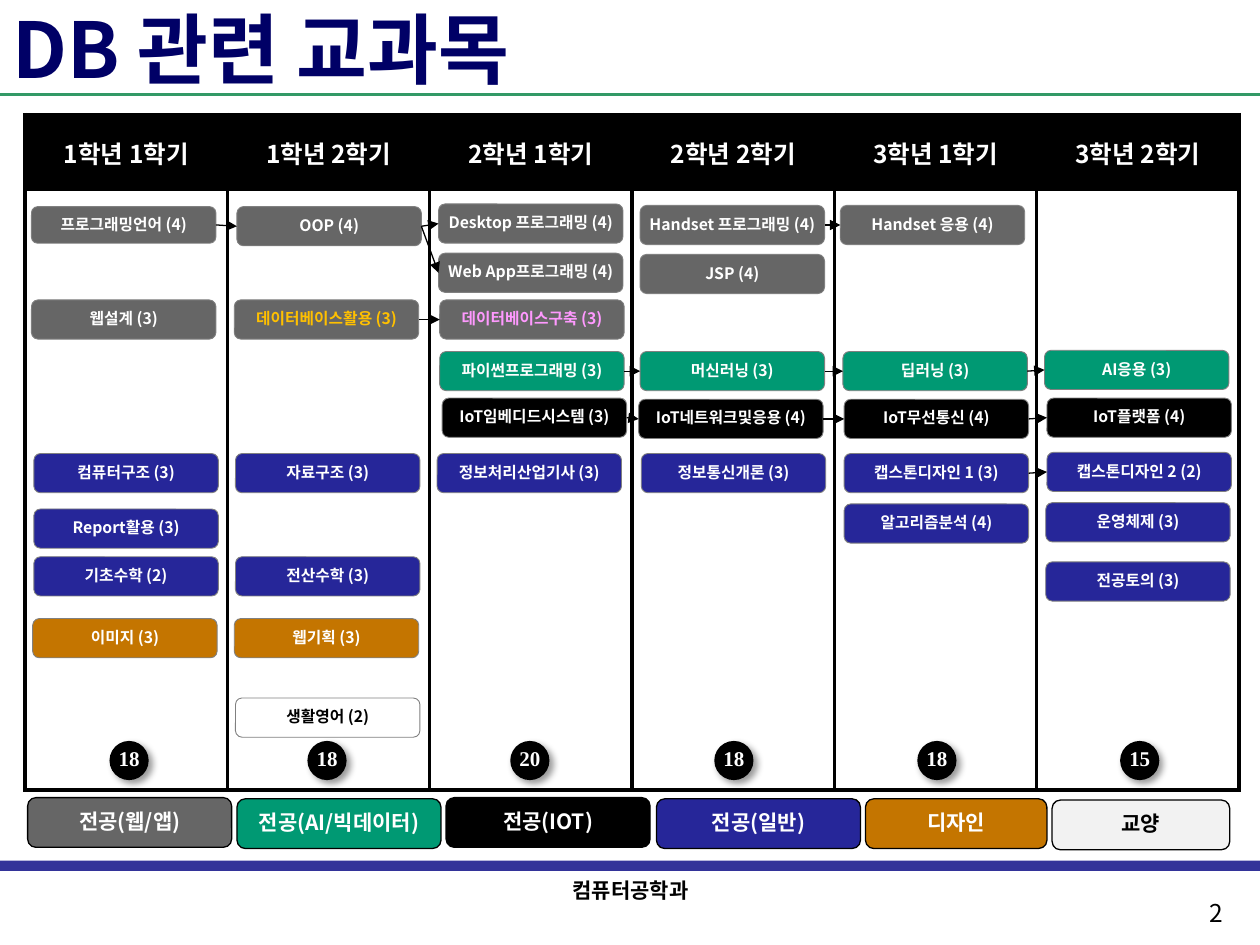
from lxml import etree
from pptx import Presentation
from pptx.dml.color import RGBColor
from pptx.enum.shapes import MSO_CONNECTOR, MSO_SHAPE
from pptx.enum.text import MSO_ANCHOR, MSO_AUTO_SIZE, PP_ALIGN
from pptx.oxml.ns import qn
from pptx.util import Pt

ROUND, OVAL, RECT = MSO_SHAPE.ROUNDED_RECTANGLE, MSO_SHAPE.OVAL, MSO_SHAPE.RECTANGLE
STRAIGHT = MSO_CONNECTOR.STRAIGHT
LEFT, CENTER = PP_ALIGN.LEFT, PP_ALIGN.CENTER
MIDDLE, TOP = MSO_ANCHOR.MIDDLE, MSO_ANCHOR.TOP
LEFT_SITE, RIGHT_SITE = 1, 3
SANS, SERIF = "Noto Sans CJK KR", "Times New Roman"

COLORS = {
    "web": "666666", "ai": "009973", "iot": "000000", "general": "262699",
    "design": "C47500", "liberal": "FFFFFF", "liberal_key": "F2F2F2",
    "black": "000000", "white": "FFFFFF", "edge": "808080", "title": "000066",
    "rule": "339966", "band": "333399", "gold": "FFC000", "pink": "FF99FF",
}

TERMS = ["1학년 1학기", "1학년 2학기", "2학년 1학기",
         "2학년 2학기", "3학년 1학기", "3학년 2학기"]
CREDITS = [(62.6, "18"), (175.7, "18"), (291.6, "20"),
           (408.2, "18"), (524.2, "18"), (640.1, "15")]

COURSES = {
    "web": [
        ("프로그래밍언어 (4)", 18, 118.1), ("OOP (4)", 135.4, 118.1),
        ("Desktop 프로그래밍 (4)", 250.6, 116.6), ("Web App프로그래밍 (4)", 250.6, 144.7),
        ("Handset 프로그래밍 (4)", 365.8, 117.4), ("JSP (4)", 365.8, 145.4),
        ("Handset 응용 (4)", 480.2, 117.4), ("웹설계 (3)", 18, 171.4),
        ("데이터베이스활용 (3)", 133.9, 171.4), ("데이터베이스구축 (3)", 251.3, 171.4),
    ],
    "ai": [
        ("파이썬프로그래밍 (3)", 251.3, 200.9), ("머신러닝 (3)", 365.8, 200.9),
        ("딥러닝 (3)", 481.7, 200.9), ("AI응용 (3)", 596.9, 200.2),
    ],
    "iot": [
        ("IoT임베디드시스템 (3)", 252.7, 227.5), ("IoT네트워크및응용 (4)", 365, 228.2),
        ("IoT무선통신 (4)", 482.4, 228.2), ("IoT플랫폼 (4)", 598.3, 227.5),
    ],
    "general": [
        ("컴퓨터구조 (3)", 19.4, 259.2), ("자료구조 (3)", 134.6, 259.2),
        ("정보처리산업기사 (3)", 249.8, 259.2), ("정보통신개론 (3)", 366.5, 259.2),
        ("캡스톤디자인 1 (3)", 482.4, 259.2), ("캡스톤디자인 2 (2)", 598.3, 258.5),
        ("Report활용 (3)", 19.4, 290.9), ("알고리즘분석 (4)", 482.4, 288),
        ("운영체제 (3)", 597.6, 287.3), ("기초수학 (2)", 19.4, 318.2),
        ("전산수학 (3)", 134.6, 318.2), ("전공토의 (3)", 597.6, 321.1),
    ],
    "design": [("이미지 (3)", 18.7, 353.5), ("웹기획 (3)", 133.9, 353.5)],
    "liberal": [("생활영어 (2)", 134.6, 398.9)],
}
HEIGHTS = {"프로그래밍언어 (4)": 20.9}
TEXT_COLORS = {"데이터베이스활용 (3)": "gold", "데이터베이스구축 (3)": "pink",
               "생활영어 (2)": "black"}

CHAINS = [
    ["프로그래밍언어 (4)", "OOP (4)", "Desktop 프로그래밍 (4)"],
    ["OOP (4)", "Web App프로그래밍 (4)"],
    ["Handset 프로그래밍 (4)", "Handset 응용 (4)"],
    ["데이터베이스활용 (3)", "데이터베이스구축 (3)"],
    [name for name, _, _ in COURSES["ai"]],
    [name for name, _, _ in COURSES["iot"]],
    ["캡스톤디자인 1 (3)", "캡스톤디자인 2 (2)"],
]

LEGEND = [
    ("전공(웹/앱)", "web", 15.8, 455.8, 116.6),
    ("전공(AI/빅데이터)", "ai", 135.4, 456.5, 116.6),
    ("전공(IOT)", "iot", 254.9, 455.8, 116.6),
    ("전공(일반)", "general", 375.1, 456.5, 116.6),
    ("디자인", "design", 494.6, 456.5, 103.7),
    ("교양", "liberal_key", 601.2, 457.2, 101.5),
]


def rgb(name):
    return RGBColor.from_string(COLORS[name])


def write(tf, text, size=9, color="white", bold=True, font=SANS, align=CENTER,
          anchor=MIDDLE, wrap=False, spacing=None, before=None):
    tf.word_wrap = wrap
    tf.vertical_anchor = anchor
    p = tf.paragraphs[0]
    p.alignment = align
    p.line_spacing = spacing
    p.space_before = before
    r = p.add_run()
    r.text = text
    r.font.size, r.font.bold, r.font.name = Pt(size), bold, font
    r.font.color.rgb = rgb(color)
    etree.SubElement(r.font._element, qn("a:ea")).set("typeface", font)


def add_box(shapes, kind, x, y, w, h, fill, edge=None, width=0.5):
    sp = shapes.add_shape(kind, Pt(x), Pt(y), Pt(w), Pt(h))
    sp.shadow.inherit = False
    sp.fill.solid()
    sp.fill.fore_color.rgb = rgb(fill)
    if edge:
        sp.line.color.rgb = rgb(edge)
        sp.line.width = Pt(width)
    else:
        sp.line.fill.background()
    return sp


def add_label(shapes, text, x, y, w, h, **fmt):
    sp = shapes.add_textbox(Pt(x), Pt(y), Pt(w), Pt(h))
    write(sp.text_frame, text, anchor=TOP, **fmt)


def add_line(shapes, x1, y1, x2, y2, color, width):
    sp = shapes.add_connector(STRAIGHT, Pt(x1), Pt(y1), Pt(x2), Pt(y2))
    sp.line.color.rgb = rgb(color)
    sp.line.width = Pt(width)
    etree.SubElement(sp._element.spPr, qn("a:effectLst"))
    return sp


def add_arrow(shapes, start, end):
    sp = add_line(shapes, 0, 0, 0, 0, "black", 0.75)
    sp.begin_connect(start, RIGHT_SITE)
    sp.end_connect(end, LEFT_SITE)
    etree.SubElement(sp.line._get_or_add_ln(), qn("a:tailEnd")).set("type", "triangle")


def add_badge(shapes, x, credits):
    group = shapes.add_group_shape()
    sp = add_box(group.shapes, OVAL, x, 423.4, 22.4, 22.4, "black")
    effects = sp._element.spPr.find(qn("a:effectLst"))
    shadow = etree.SubElement(effects, qn("a:outerShdw"), blurRad=str(Pt(4)),
                              dist=str(Pt(3)), dir="2700000", algn="tl")
    tint = etree.SubElement(shadow, qn("a:srgbClr"), val=COLORS["black"])
    etree.SubElement(tint, qn("a:alpha"), val="40000")
    add_label(group.shapes, credits, x - 5.8, 422.6, 34, 21.6,
              size=12, font=SERIF, wrap=True)


def set_borders(cell, **widths):
    tc_pr = cell._tc.get_or_add_tcPr()
    for i, (side, width) in enumerate(widths.items()):
        ln = etree.Element(qn("a:" + side), w=str(Pt(width)))
        fill = etree.SubElement(ln, qn("a:solidFill"))
        etree.SubElement(fill, qn("a:srgbClr"), val=COLORS["black"])
        tc_pr.insert(i, ln)


def add_term_table(shapes):
    table = shapes.add_table(2, len(TERMS), Pt(14.4), Pt(65.5), Pt(693.6), Pt(385.9)).table
    table.first_row = table.horz_banding = False
    table.rows[0].height, table.rows[1].height = Pt(43.2), Pt(342.7)
    for i, term in enumerate(TERMS):
        table.columns[i].width = Pt(115.6)
        head, body = table.cell(0, i), table.cell(1, i)
        head.fill.solid()
        head.fill.fore_color.rgb = rgb("black")
        head.vertical_anchor = MIDDLE
        write(head.text_frame, term, size=14, wrap=True, before=Pt(2.8))
        body.fill.background()
        set_borders(head, lnL=2.25, lnR=2.25, lnT=2.25, lnB=1)
        set_borders(body, lnL=2.25, lnR=2.25, lnT=1, lnB=2.25)


def add_title(slide, text):
    sp = slide.shapes.title
    sp.left, sp.top, sp.width, sp.height = Pt(0), Pt(0), Pt(720), Pt(54)
    sp.text_frame.auto_size = MSO_AUTO_SIZE.NONE
    write(sp.text_frame, text, size=44, color="title", align=LEFT, wrap=True)


def main():
    prs = Presentation()
    prs.slide_width, prs.slide_height = Pt(720), Pt(540)
    slide = prs.slides.add_slide(prs.slide_layouts[5])
    shapes = slide.shapes

    add_box(shapes, RECT, 0, 491.8, 720, 5.8, "band")
    add_line(shapes, 0, 54, 720, 54, "rule", 2)
    add_label(shapes, "컴퓨터공학과", 316.8, 498.2, 87.1, 21.6, size=12, color="black")
    add_label(shapes, "2", 684, 509.8, 35.3, 23.8, size=14, color="black",
              bold=False, align=LEFT)
    add_title(slide, "DB 관련 교과목")
    add_term_table(shapes)

    pills = {}
    for track, courses in COURSES.items():
        for name, x, y in courses:
            sp = add_box(shapes, ROUND, x, y, 105.4, HEIGHTS.get(name, 22.4), track, "edge")
            write(sp.text_frame, name, color=TEXT_COLORS.get(name, "white"), spacing=0.9)
            pills[name] = sp
    for chain in CHAINS:
        for start, end in zip(chain, chain[1:]):
            add_arrow(shapes, pills[start], pills[end])

    for name, track, x, y, w in LEGEND:
        sp = add_box(shapes, ROUND, x, y, w, 28.4, track, "black", 0.75)
        color = "black" if track == "liberal_key" else "white"
        write(sp.text_frame, name, size=12, color=color, spacing=0.9)
    for x, credits in CREDITS:
        add_badge(shapes, x, credits)

    prs.save("out.pptx")


if __name__ == "__main__":
    main()
